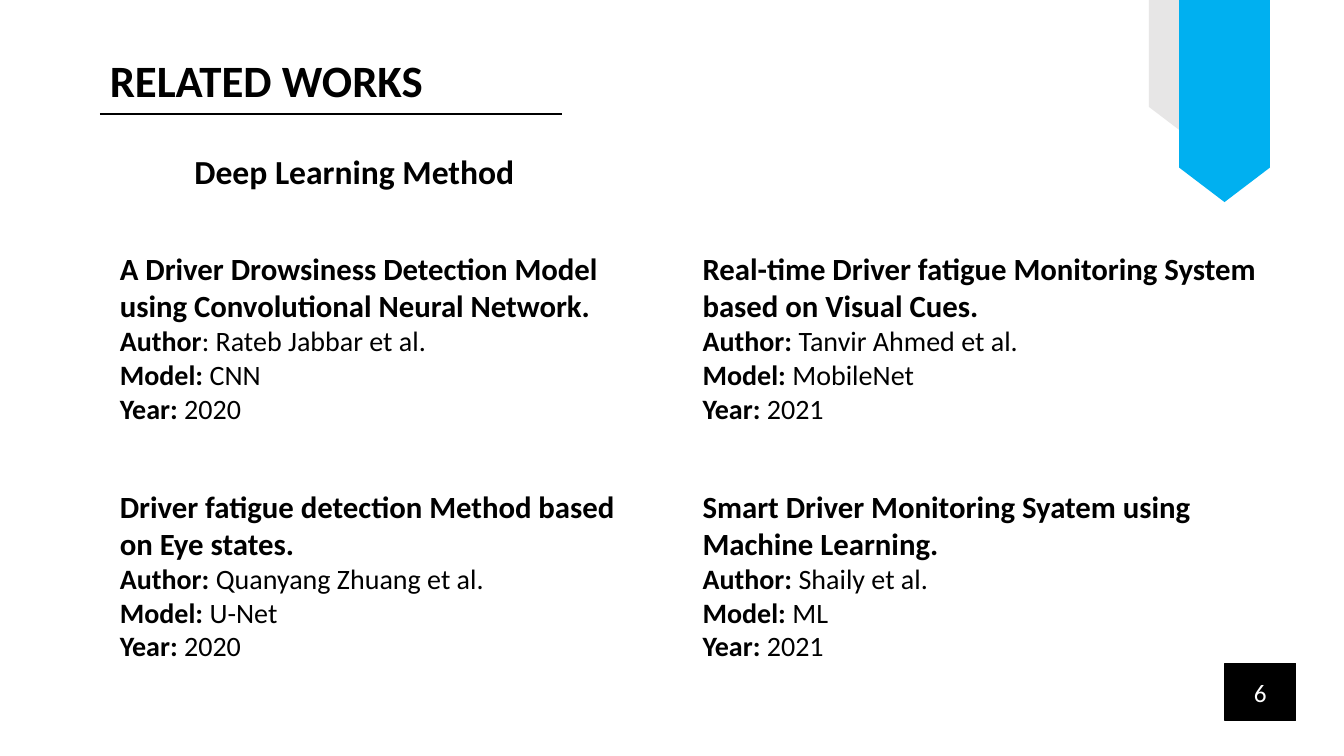
from pptx import Presentation
from pptx.dml.color import RGBColor
from pptx.enum.shapes import MSO_CONNECTOR, MSO_SHAPE
from pptx.enum.text import MSO_ANCHOR, MSO_AUTO_SIZE, PP_ALIGN
from pptx.oxml.ns import qn
from pptx.util import Pt
from lxml import etree

PX = 9144
COLORS = {"black": "000000", "white": "FFFFFF", "grey": "E7E6E6", "blue": "00B0F0"}


def add_span(paragraph, text, size=20, bold=False, color="black"):
    span = paragraph.add_run()
    span.text = text
    span.font.name = "Calibri"
    span.font.size = Pt(size)
    span.font.bold = bold
    span.font.color.rgb = RGBColor.from_string(COLORS[color])


def add_box(left, top, width, height):
    box = page.shapes.add_textbox(left * PX, top * PX, width * PX, height * PX)
    box.text_frame.word_wrap = True
    box.text_frame.auto_size = MSO_AUTO_SIZE.SHAPE_TO_FIT_TEXT
    return box.text_frame


deck = Presentation()
deck.slide_width = 1333 * PX
deck.slide_height = 750 * PX
page = deck.slides.add_slide(deck.slide_layouts[6])

add_span(add_box(99, 47, 351, 64).paragraphs[0], "RELATED WORKS", size=32, bold=True)

underline = page.shapes.add_connector(
    MSO_CONNECTOR.STRAIGHT, 99 * PX, 113 * PX, 557 * PX, 113 * PX)
underline.line.color.rgb = RGBColor.from_string(COLORS["black"])
underline.line.width = Pt(1.5)
etree.SubElement(underline._element.spPr, qn("a:effectLst"))

add_span(add_box(183, 145, 414, 50).paragraphs[0], "Deep Learning Method", size=24, bold=True)

number = page.shapes.add_shape(MSO_SHAPE.RECTANGLE, 1215 * PX, 658 * PX, 70 * PX, 57 * PX)
number.shadow.inherit = False
number.fill.solid()
number.fill.fore_color.rgb = RGBColor.from_string(COLORS["black"])
number.line.color.rgb = RGBColor.from_string(COLORS["black"])
number.line.width = Pt(1)
number.text_frame.vertical_anchor = MSO_ANCHOR.MIDDLE
number_paragraph = number.text_frame.paragraphs[0]
number_paragraph.alignment = PP_ALIGN.CENTER
add_span(number_paragraph, "6", size=18, color="white")

LEFT_COLUMN, RIGHT_COLUMN = 109, 687
TOP_ROW, BOTTOM_ROW = 243, 479
works = [
    (LEFT_COLUMN, TOP_ROW, 681,
     ["A Driver Drowsiness Detection Model", "using Convolutional Neural Network."],
     [("Author", ": Rateb Jabbar et al."), ("Model: ", "CNN"), ("Year: ", "2020")]),
    (LEFT_COLUMN, BOTTOM_ROW, 514,
     ["Driver fatigue detection Method based on Eye states."],
     [("Author: ", "Quanyang Zhuang et al."), ("Model: ", "U-Net"), ("Year: ", "2020")]),
    (RIGHT_COLUMN, TOP_ROW, 613,
     ["Real-time Driver fatigue Monitoring System", "based on Visual Cues."],
     [("Author: ", "Tanvir Ahmed et al."), ("Model: ", "MobileNet"), ("Year: ", "2021")]),
    (RIGHT_COLUMN, BOTTOM_ROW, 514,
     ["Smart Driver Monitoring Syatem using Machine Learning."],
     [("Author: ", "Shaily et al."), ("Model: ", "ML"), ("Year: ", "2021")]),
]
for left, top, width, title_lines, details in works:
    frame = add_box(left, top, width, 185)
    add_span(frame.paragraphs[0], title_lines[0], size=22, bold=True)
    for line in title_lines[1:]:
        add_span(frame.add_paragraph(), line, size=22, bold=True)
    for label, value in details:
        paragraph = frame.add_paragraph()
        add_span(paragraph, label, bold=True)
        add_span(paragraph, value)

ribbons = [(1107, 32, 132, 67, "grey"), (1114, 55, 201, 90, "blue")]
for left, top, width, height, color in ribbons:
    ribbon = page.shapes.add_shape(
        MSO_SHAPE.PENTAGON, left * PX, top * PX, width * PX, height * PX)
    ribbon.rotation = 90
    ribbon.adjustments[0] = 0.38
    ribbon.shadow.inherit = False
    ribbon.fill.solid()
    ribbon.fill.fore_color.rgb = RGBColor.from_string(COLORS[color])
    ribbon.line.fill.background()

deck.save("out.pptx")
